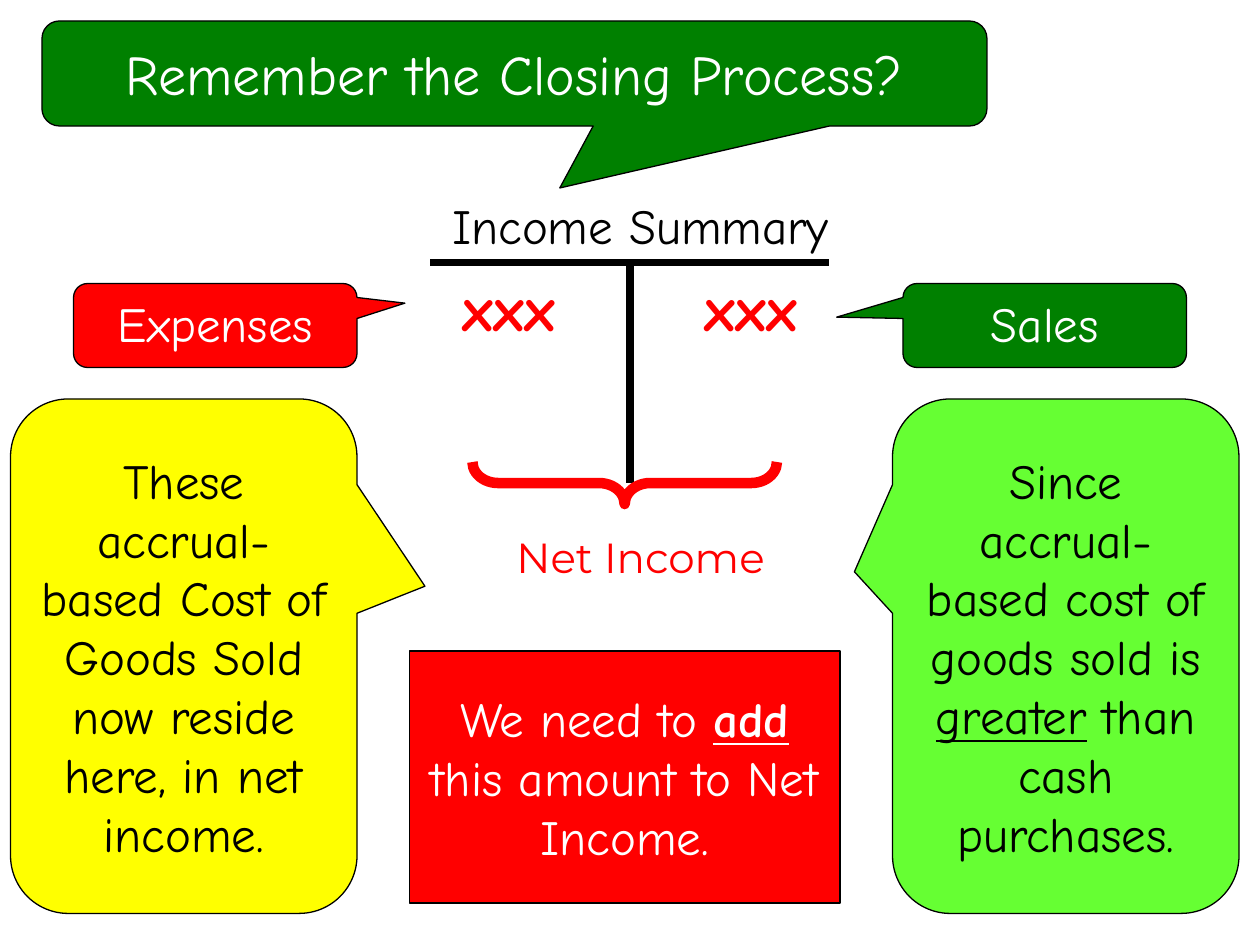
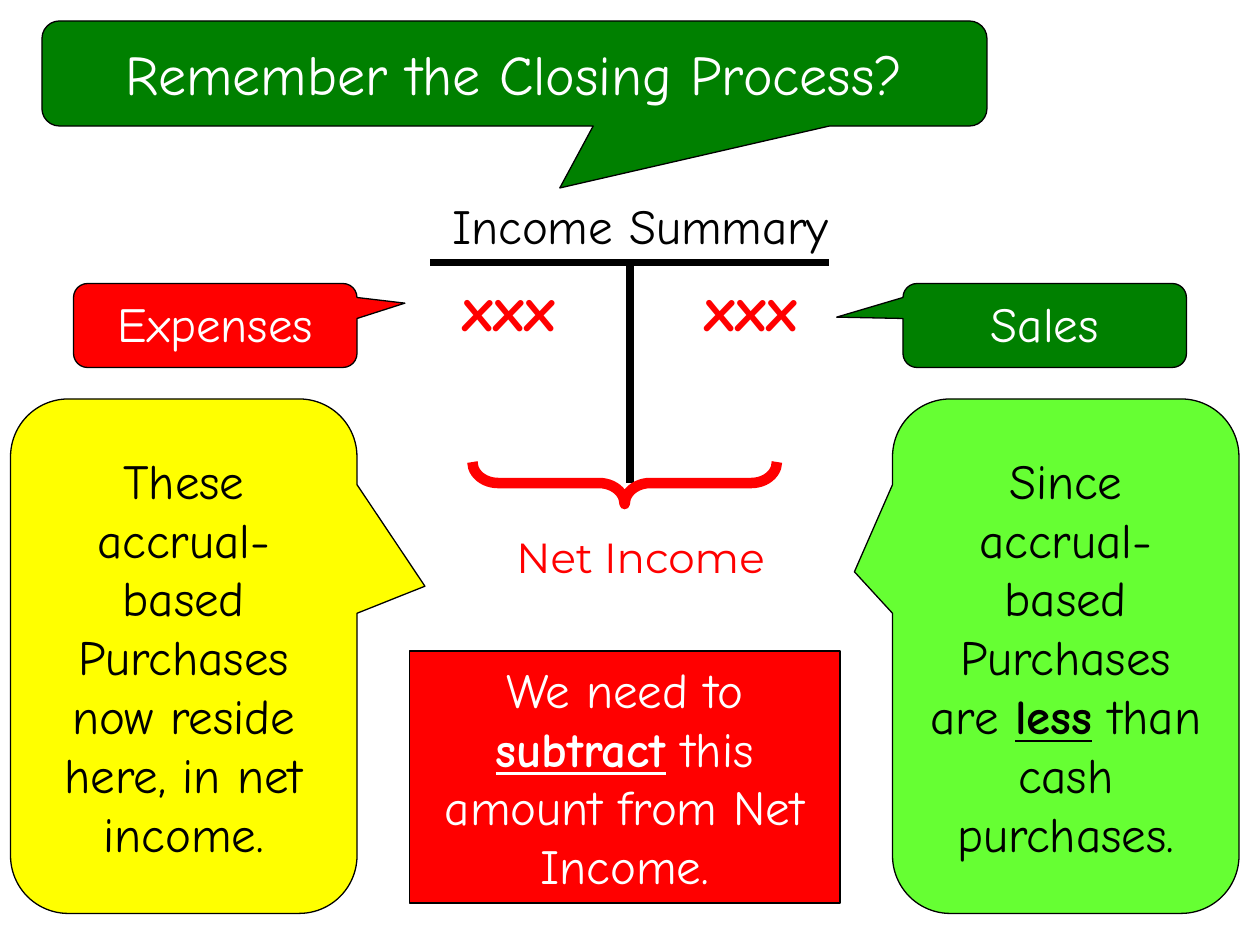
from dataclasses import dataclass

from pptx import Presentation
from pptx.dml.color import RGBColor
from pptx.enum.shapes import MSO_CONNECTOR, MSO_SHAPE
from pptx.enum.text import MSO_ANCHOR, MSO_AUTO_SIZE, PP_ALIGN
from pptx.oxml.xmlchemy import OxmlElement
from pptx.util import Pt

STRAIGHT = MSO_CONNECTOR.STRAIGHT
CALLOUT = MSO_SHAPE.ROUNDED_RECTANGULAR_CALLOUT
BRACE = MSO_SHAPE.LEFT_BRACE
RECTANGLE = MSO_SHAPE.RECTANGLE
TOP, MIDDLE = MSO_ANCHOR.TOP, MSO_ANCHOR.MIDDLE
CENTER = PP_ALIGN.CENTER
NO_FIT = MSO_AUTO_SIZE.NONE


@dataclass(frozen=True)
class Theme:
    black: RGBColor = RGBColor(0, 0, 0)
    white: RGBColor = RGBColor(255, 255, 255)
    red: RGBColor = RGBColor(255, 0, 0)
    green: RGBColor = RGBColor(0, 128, 0)
    lime: RGBColor = RGBColor(0x66, 0xFF, 0x33)
    yellow: RGBColor = RGBColor(255, 255, 0)
    font: str = "Comic Neue"
    result_font: str = "Montserrat"
    title: int = 32
    body: int = 28
    amount: int = 36
    result: int = 24
    outline: float = 0.75
    rule: float = 4.5
    brace: int = 6


@dataclass(frozen=True)
class Box:
    left: float
    top: float
    width: float
    height: float

    def points(self):
        return [Pt(n) for n in (self.left, self.top, self.width, self.height)]


THEME = Theme()
UNDERLINED = {"underline": True}
STRONG = {"bold": True, "underline": True}

HEADLINE = Box(24, 12, 540, 60)
ACCOUNT = Box(246, 108, 228, 168)
ACTION = Box(234, 372, 246, 144)
# label, callout box, fill, pointer, left edge of the amount
ENTRIES = [
    ("Sales", Box(516, 162, 162, 48), THEME.green, (-0.734, -0.099), 366),
    ("Expenses", Box(42, 162, 162, 48), THEME.red, (0.669, -0.266), 228),
]
# callout box, fill, pointer
REASONS = [
    (Box(6, 228, 198, 294), THEME.yellow, (0.696, -0.136)),
    (Box(510, 228, 198, 294), THEME.lime, (-0.61, -0.164)),
]
# spans of the two reasons, then of the action
CASES = [
    (
        [[("These accrual-based Cost of Goods Sold now reside here, in net income.", {})],
         [("Since accrual-based cost of goods sold is ", {}), ("greater", UNDERLINED),
          (" than cash purchases.", {})]],
        [("We need to ", {}), ("add", STRONG), (" this amount to Net Income.", {})],
    ),
    (
        [[("These accrual-based Purchases now reside here, in net income.", {})],
         [("Since accrual-based Purchases are ", {}), ("less", STRONG),
          (" than cash purchases.", {})]],
        [("We need to ", {}), ("subtract", STRONG), (" this amount from Net Income.", {})],
    ),
]


def write(shape, spans, color, size=THEME.body, anchor=MIDDLE, **formats):
    """Fill a shape with one centred paragraph of (text, format) spans."""
    frame = shape.text_frame
    frame.word_wrap = True
    frame.auto_size = NO_FIT
    frame.vertical_anchor = anchor
    para = frame.paragraphs[0]
    para.alignment = CENTER
    for text, extra in spans:
        span = para.add_run()
        span.text = text
        span.font.color.rgb = color
        values = {"name": THEME.font, "size": Pt(size), **formats, **extra}
        for name, value in values.items():
            setattr(span.font, name, value)


def add_label(shapes, box, text, color, size=THEME.body, **formats):
    label = shapes.add_textbox(*box.points())
    write(label, [(text, {})], color, size, TOP, **formats)


def add_panel(shapes, box, fill, pointer=None):
    """Add an outlined box, which is a callout when it has a pointer."""
    panel = shapes.add_shape(CALLOUT if pointer else RECTANGLE, *box.points())
    panel.shadow.inherit = False
    panel.fill.solid()
    panel.fill.fore_color.rgb = fill
    panel.line.color.rgb = THEME.black
    panel.line.width = Pt(THEME.outline)
    if pointer:
        panel.adjustments[0], panel.adjustments[1] = pointer
    return panel


def add_rule(page, *ends):
    rule = page.shapes.add_connector(STRAIGHT, *[Pt(n) for n in ends])
    rule.line.color.rgb = THEME.black
    rule.line.width = Pt(THEME.rule)
    rule._element.spPr.append(OxmlElement("a:effectLst"))


def add_headline(page, box):
    add_panel(page.shapes, box, THEME.green, (0.048, 1.09))
    title = page.shapes.title
    title.left, title.top, title.width, title.height = box.points()
    write(title, [("Remember the Closing Process?", {})], THEME.white, THEME.title)
    page.shapes._spTree.append(title._element)  # in front of its callout


def add_account(page, box):
    """Draw the T account, with its net income braced below."""
    middle = box.left + box.width / 2
    rule_top, bottom = box.top + 42, box.top + box.height
    add_rule(page, box.left, rule_top, box.left + box.width, rule_top)
    add_rule(page, middle, rule_top, middle, bottom)
    add_label(page.shapes, Box(box.left - 30, box.top, 300, 41),
              "Income Summary", THEME.black)

    depth, span = 24, 174
    brace_box = Box(middle - 3 - depth / 2, bottom - span / 2, depth, span)
    brace = page.shapes.add_shape(BRACE, *brace_box.points())
    brace.rotation = 270
    brace.adjustments[0] = 0.61
    brace.shadow.inherit = False
    brace.fill.background()
    brace.line.color.rgb = THEME.red
    brace.line.width = Pt(THEME.brace)

    add_label(page.shapes, Box(box.left + 6, bottom + 24, box.width, 51),
              "Net Income", THEME.red, THEME.result, name=THEME.result_font)


def add_entry(page, label, box, fill, pointer, amount_left):
    """Group an amount in the account with the callout that names it."""
    shapes = page.shapes.add_group_shape().shapes
    add_label(shapes, Box(amount_left, box.top - 12, 126, 50), "xxx",
              THEME.red, THEME.amount, bold=True)
    write(add_panel(shapes, box, fill, pointer), [(label, {})], THEME.white, anchor=TOP)


def add_closing_slide(deck, reasons, action):
    page = deck.slides.add_slide(deck.slide_layouts[5])
    add_account(page, ACCOUNT)
    add_headline(page, HEADLINE)
    for entry in ENTRIES:
        add_entry(page, *entry)
    for panel, spans in zip(REASONS, reasons):
        write(add_panel(page.shapes, *panel), spans, THEME.black)
    write(add_panel(page.shapes, ACTION, THEME.red), action, THEME.white)


def main():
    deck = Presentation()
    deck.slide_width, deck.slide_height = Pt(720), Pt(540)
    for reasons, action in CASES:
        add_closing_slide(deck, reasons, action)
    deck.save("out.pptx")


if __name__ == "__main__":
    main()
